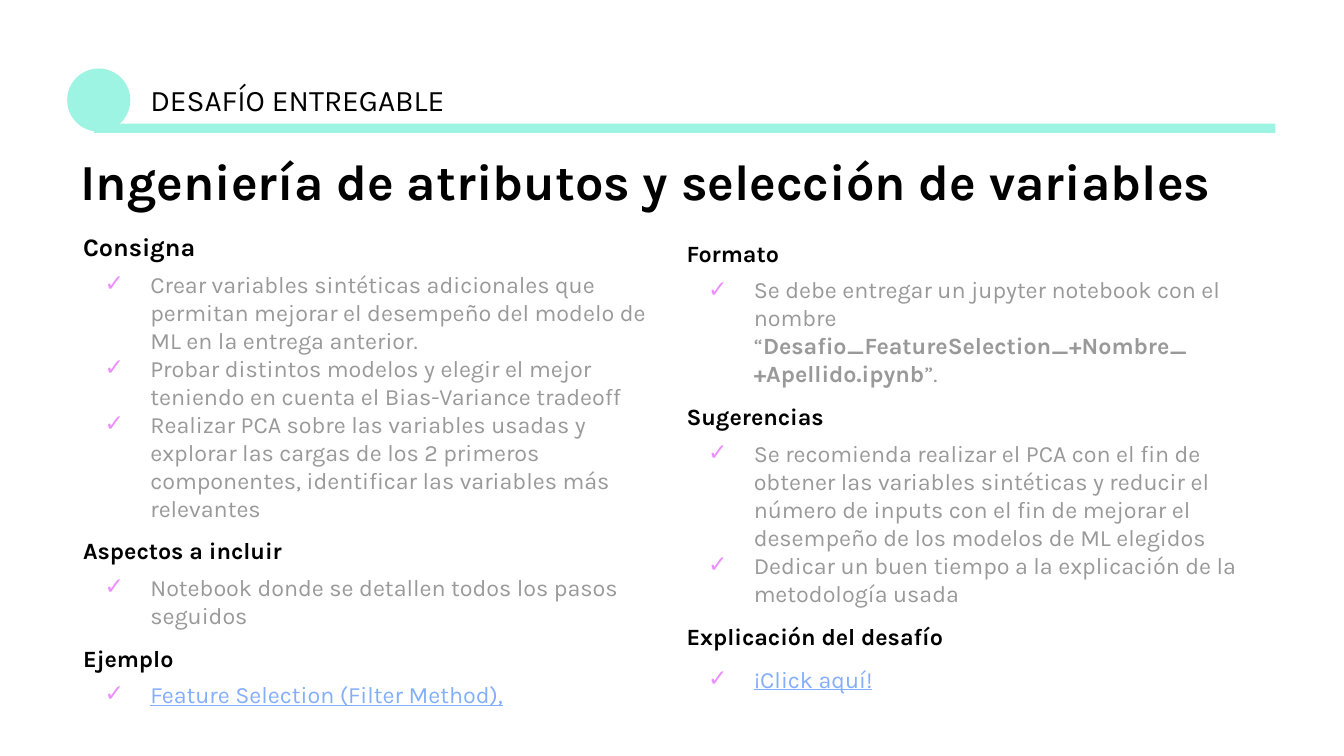
from lxml import etree
from pptx import Presentation
from pptx.dml.color import RGBColor
from pptx.enum.shapes import MSO_SHAPE as Shape
from pptx.enum.text import MSO_ANCHOR as Anchor, MSO_AUTO_SIZE as AutoSize
from pptx.oxml.ns import qn
from pptx.util import Inches, Pt

FONT = "Karla"
MINT = RGBColor(0x9D, 0xF4, 0xE2)
BLACK = RGBColor(0, 0, 0)
GRAY = RGBColor(0x99, 0x99, 0x99)
BLUE = RGBColor(0x83, 0xAE, 0xFB)
PINK = RGBColor(0xEA, 0x90, 0xFF)

BODY = {"name": FONT, "size": Pt(12.5), "bold": False}
STYLES = {
    "label": {**BODY, "size": Pt(16), "color": BLACK},
    "title": {**BODY, "size": Pt(27), "bold": True, "color": BLACK},
    "lead": {**BODY, "size": Pt(13.5), "bold": True, "color": BLACK},
    "heading": {**BODY, "bold": True, "color": BLACK},
    "item": {**BODY, "color": GRAY},
    "strong": {**BODY, "bold": True, "color": GRAY},
    "link": {**BODY, "underline": True, "color": BLUE},
}

SECTION_GAP = 8
HEADING_GAP = 4.5
LABEL = "DESAFÍO ENTREGABLE"
TITLE = "Ingeniería de atributos y selección de variables"

LEFT_SECTIONS = [
    ("Consigna", "lead", HEADING_GAP, [
        [("Crear variables sintéticas adicionales que permitan mejorar el desempeño "
          "del modelo de ML en la entrega anterior.", "item")],
        [("Probar distintos modelos y elegir el mejor teniendo en cuenta el "
          "Bias-Variance tradeoff", "item")],
        [("Realizar PCA sobre las variables usadas y explorar las cargas de los 2 "
          "primeros componentes, identificar las variables más relevantes", "item")],
    ]),
    ("Aspectos a incluir", "heading", HEADING_GAP, [
        [("Notebook donde se detallen todos los pasos seguidos", "item")],
    ]),
    ("Ejemplo", "heading", HEADING_GAP, [
        [("Feature Selection (Filter Method),", "link")],
    ]),
]
RIGHT_SECTIONS = [
    ("Formato", "heading", HEADING_GAP, [
        [("Se debe entregar un jupyter notebook con el nombre “", "item"),
         ("Desafio_FeatureSelection_+Nombre_ +Apellido.ipynb", "strong"),
         ("”.", "item")],
    ]),
    ("Sugerencias", "heading", HEADING_GAP, [
        [("Se recomienda realizar el PCA con el fin de obtener las variables "
          "sintéticas y reducir el número de inputs con el fin de mejorar el "
          "desempeño de los modelos de ML elegidos", "item")],
        [("Dedicar un buen tiempo a la explicación de la metodología usada", "item")],
    ]),
    ("Explicación del desafío", "heading", SECTION_GAP, [
        [("¡Click aquí!", "link")],
    ]),
]


def add_mint_shape(slide, kind, box):
    shape = slide.shapes.add_shape(kind, *map(Inches, box))
    shape.shadow.inherit = False
    shape.fill.solid()
    shape.fill.fore_color.rgb = MINT
    shape.line.fill.background()


def add_text_frame(slide, box):
    frame = slide.shapes.add_textbox(*map(Inches, box)).text_frame
    settings = {"word_wrap": True, "auto_size": AutoSize.SHAPE_TO_FIT_TEXT,
                "vertical_anchor": Anchor.TOP}
    for side in ("left", "top", "right", "bottom"):
        settings[f"margin_{side}"] = Inches(0.1)
    for name, value in settings.items():
        setattr(frame, name, value)
    return frame


def add_run(paragraph, text, style):
    run = paragraph.add_run()
    run.text = text
    for name, value in STYLES[style].items():
        if name == "color":
            run.font.color.rgb = value
        else:
            setattr(run.font, name, value)


def add_check_bullet(paragraph):
    properties = paragraph._p.get_or_add_pPr()
    properties.set("marL", str(Inches(0.5)))
    properties.set("indent", str(Inches(-0.34)))
    color = etree.SubElement(properties, qn("a:buClr"))
    etree.SubElement(color, qn("a:srgbClr"), val=str(PINK))
    etree.SubElement(properties, qn("a:buFont"), typeface=FONT)
    etree.SubElement(properties, qn("a:buChar"), char="✓")


def add_sections(slide, box, sections):
    frame = add_text_frame(slide, box)
    for index, (heading, style, gap, items) in enumerate(sections):
        paragraph = frame.add_paragraph() if index else frame.paragraphs[0]
        if index:
            paragraph.space_before = Pt(SECTION_GAP)
        paragraph.space_after = Pt(gap)
        add_run(paragraph, heading, style)
        for runs in items:
            paragraph = frame.add_paragraph()
            add_check_bullet(paragraph)
            for text, run_style in runs:
                add_run(paragraph, text, run_style)


def main():
    presentation = Presentation()
    presentation.slide_width = Inches(10)
    presentation.slide_height = presentation.slide_width * 9 // 16
    slide = presentation.slides.add_slide(presentation.slide_layouts[6])

    add_mint_shape(slide, Shape.OVAL, (0.5, 0.51, 0.47, 0.47))
    add_sections(slide, (0.52, 1.62, 4.41, 3.79), LEFT_SECTIONS)
    title = add_text_frame(slide, (0.5, 1.07, 8.79, 0.61)).paragraphs[0]
    title.line_spacing = 0.9
    add_run(title, TITLE, "title")
    label = add_text_frame(slide, (1.02, 0.51, 2.69, 0.47)).paragraphs[0]
    add_run(label, LABEL, "label")
    add_sections(slide, (5.01, 1.68, 4.41, 3.95), RIGHT_SECTIONS)
    add_mint_shape(slide, Shape.RECTANGLE, (0.7, 0.92, 8.79, 0.07))

    presentation.save("out.pptx")


if __name__ == "__main__":
    main()
